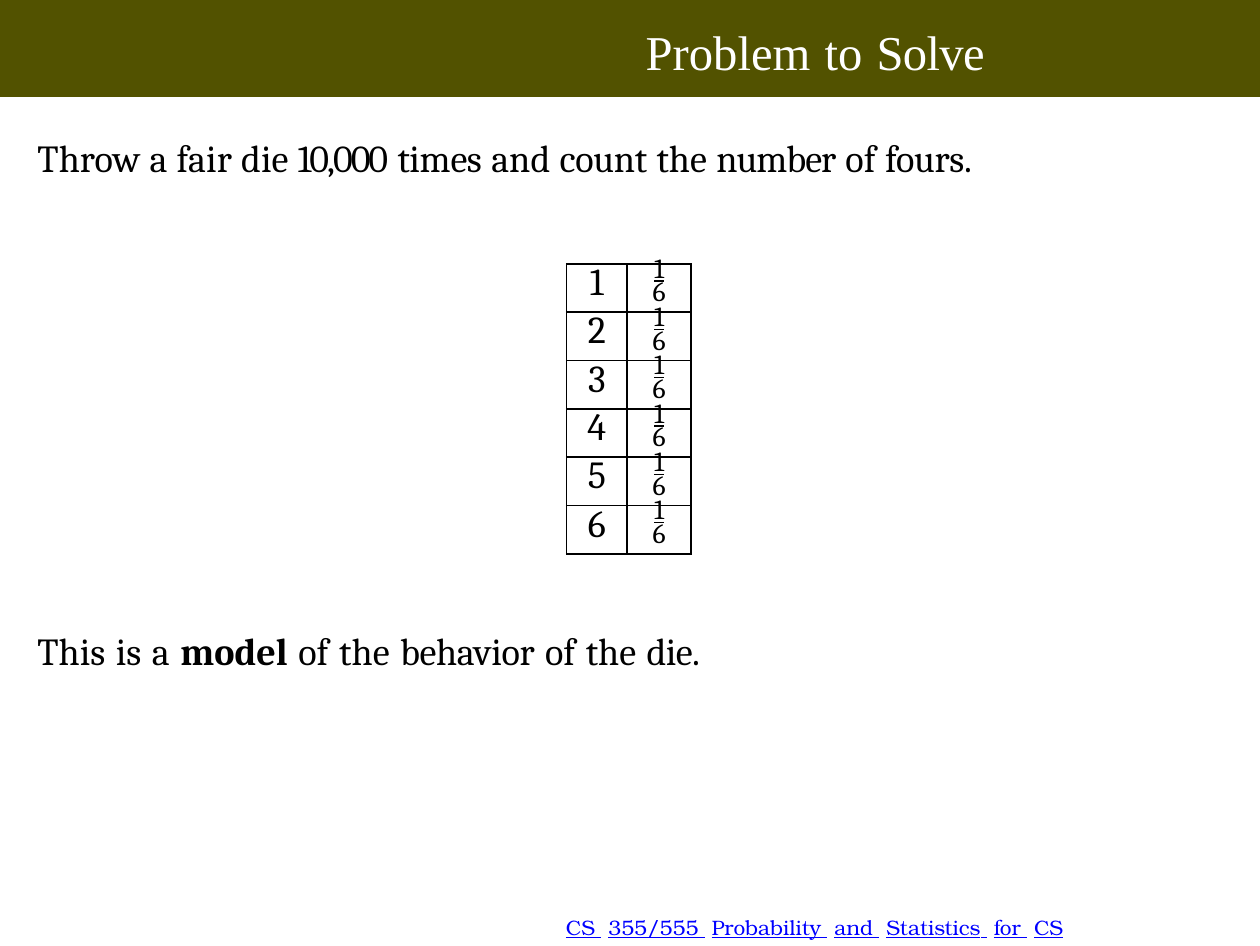
from lxml import etree
from pptx import Presentation
from pptx import util as u
from pptx.dml.color import RGBColor
from pptx.enum import shapes, text
from pptx.oxml import ns

OLIVE = RGBColor(0x52, 0x52, 0x00)
WHITE = RGBColor(0xFF, 0xFF, 0xFF)
BLACK = RGBColor(0x00, 0x00, 0x00)
LINK_BLUE = RGBColor(0x00, 0x00, 0xFF)
TITLE_FONT, BODY_FONT, FOOTER_FONT = "Times New Roman", "Cambria", "TeX Gyre Bonum"
COLUMNS, ROWS = 36, 27


class SlideWriter:
    def __init__(self, deck):
        self.column = deck.slide_width / COLUMNS
        self.row = deck.slide_height / ROWS
        self.page = deck.slides.add_slide(deck.slide_layouts[5])

    def place(self, left, top, width, height):
        return (round(left * self.column), round(top * self.row),
                round(width * self.column), round(height * self.row))

    def band(self, height):
        band = self.page.shapes.add_shape(
            shapes.MSO_SHAPE.RECTANGLE, *self.place(0, 0, COLUMNS, height))
        band.shadow.inherit = False
        band.fill.solid()
        band.fill.fore_color.rgb = OLIVE
        band.line.fill.background()
        self.page.shapes._spTree.insert(2, band._element)

    def style(self, span, font, size, color, spacing=0, bold=False, underline=False):
        span.font.name = font
        span.font.size = u.Pt(size)
        span.font.color.rgb = color
        span.font.bold = bold
        span.font.underline = underline
        if spacing:
            span._r.get_or_add_rPr().set("spc", str(round(spacing * 100)))

    def fill_frame(self, frame, wording, gap, font, size, color, tight=None, strong=(),
                   inset=0, before=0, indent=0.01, line=None, underline=False):
        frame.margin_left = frame.margin_right = frame.margin_bottom = 0
        frame.margin_top = u.Inches(inset)
        frame.vertical_anchor = text.MSO_ANCHOR.TOP
        frame.word_wrap = True
        frame.auto_size = text.MSO_AUTO_SIZE.SHAPE_TO_FIT_TEXT
        para = frame.paragraphs[0]
        para.alignment = text.PP_ALIGN.LEFT
        para.space_before = u.Pt(before)
        para.line_spacing = u.Pt(line) if line else 1.0
        para._p.get_or_add_pPr().set("marL", str(u.Inches(indent)))
        spacings = {" ": gap, **(tight or {})}
        for piece in wording.replace(" ", "\t \t").split("\t"):
            span = para.add_run()
            span.text = piece
            self.style(span, font, size, color, spacings.get(piece, 0),
                       piece in strong, underline)

    def title(self, wording, gap, tight, *cells):
        box = self.page.shapes.title
        box.left, box.top, box.width, box.height = self.place(*cells)
        self.fill_frame(box.text_frame, wording, gap, TITLE_FONT, 14, WHITE, tight,
                        inset=0.02, before=1.4, indent=1.04)

    def sentence(self, wording, gap, tight, *cells, strong=()):
        box = self.page.shapes.add_textbox(*self.place(*cells))
        self.fill_frame(box.text_frame, wording, gap, BODY_FONT, 11, BLACK, tight,
                        strong, inset=0.01, before=0.9)

    def footer(self, wording, gap, *cells):
        box = self.page.shapes.add_textbox(*self.place(*cells))
        self.fill_frame(box.text_frame, wording, gap, FOOTER_FONT, 6, LINK_BLUE,
                        line=6.7, underline=True)

    def cell(self, cell, lines):
        cell.margin_left = cell.margin_right = cell.margin_top = cell.margin_bottom = 0
        cell.fill.background()
        cell.text_frame.text = "\n".join(wording for wording, *_ in lines)
        for para, (_, size, spacing, underline) in zip(cell.text_frame.paragraphs, lines):
            para.alignment = text.PP_ALIGN.CENTER
            para.line_spacing = u.Pt(spacing)
            self.style(para.runs[0], BODY_FONT, size, BLACK, underline=underline)
        properties = cell._tc.get_or_add_tcPr()
        for index, side in enumerate(("lnL", "lnR", "lnT", "lnB")):
            border = etree.Element(ns.qn(f"a:{side}"), w=str(u.Pt(0.5)))
            fill = etree.SubElement(border, ns.qn("a:solidFill"))
            etree.SubElement(fill, ns.qn("a:srgbClr"), val=str(BLACK))
            properties.insert(index, border)

    def die_table(self, faces, left, top, widths, row_height):
        frame = self.page.shapes.add_table(
            faces, len(widths),
            *self.place(left, top, sum(widths), faces * row_height))
        table = frame.table
        table.first_row = table.horz_banding = False
        for column, width in zip(table.columns, widths):
            column.width = round(width * self.column)
        for face in range(faces):
            table.rows[face].height = round(row_height * self.row)
            self.cell(table.cell(face, 0), [(str(face + 1), 11, 11.9, False)])
            self.cell(table.cell(face, 1),
                      [("1", 8, 6.2, True), (str(faces), 8, 6.8, False)])


def main():
    deck = Presentation()
    deck.slide_width, deck.slide_height = u.Pt(363), u.Pt(272.5)
    writer = SlideWriter(deck)
    writer.band(2.77)
    writer.title("Problem to Solve", 0.5, {"Solve": -0.2}, 11.02, 0.47, 20.1, 1.8)
    writer.sentence("Throw a fair die 10,000 times and count the number of fours.", 0.2,
                    {"10,000": -0.6, "times": -0.1, "count": -0.1,
                     "number": -0.3, "fours.": -0.1}, 1, 3.76, 29.3, 1.5)
    writer.die_table(6, 16.19, 7.53, (1.73, 1.83), 1.38)
    writer.sentence("This is a model of the behavior of the die.", 0.55,
                    {"behavior": -0.1, "die.": -0.2}, 1, 17.83, 20.64, 1.5,
                    strong=("model",))
    writer.footer("CS 355/555 Probability and Statistics for CS", 1.9,
                  16.1, 26.16, 14.6, 0.8)
    deck.save("out.pptx")


if __name__ == "__main__":
    main()
